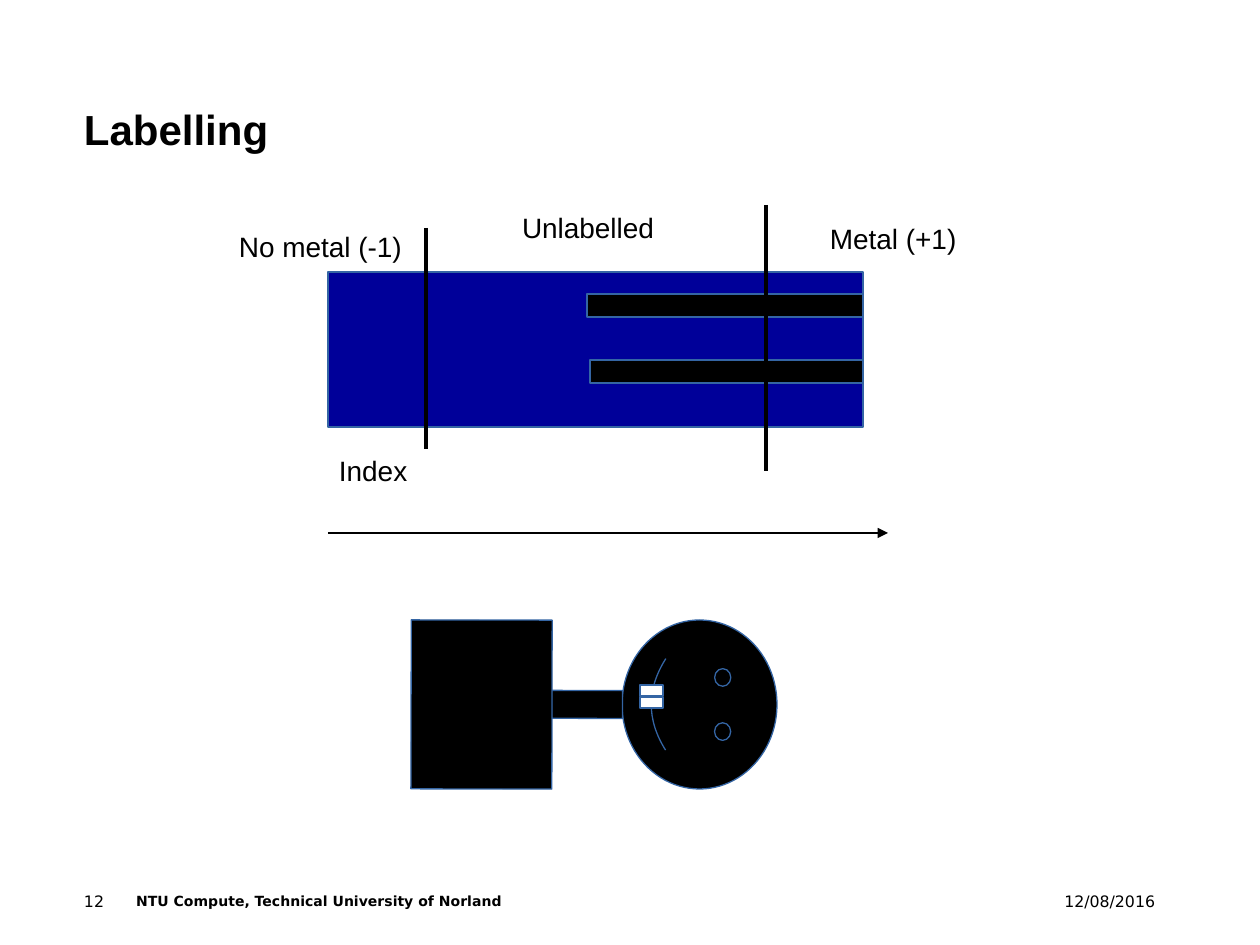
"""Builds the slide on labelling metal along the index axis."""
from dataclasses import dataclass

from lxml import etree
from pptx import Presentation
from pptx import util as u
from pptx.dml.color import RGBColor
from pptx.enum import shapes, text
from pptx.oxml import ns

EMU_PER_PX = 914400 / 126


@dataclass(frozen=True)
class Theme:
    ink: str = "000000"
    paper: str = "FFFFFF"
    block: str = "000099"
    outline: str = "3465A4"
    sans: str = "Arial"
    footer_font: str = "DejaVu Sans"
    title_size: int = 24
    label_size: int = 16
    number_size: int = 9
    footer_size: int = 8
    hairline: float = 0.75
    divider: float = 2.3


THEME = Theme()


@dataclass(frozen=True)
class Box:
    left: int
    top: int
    width: int
    height: int

    def emu(self) -> tuple[u.Emu, ...]:
        return tuple(map(px, (self.left, self.top, self.width, self.height)))


@dataclass(frozen=True)
class Label:
    wording: str
    box: Box
    size: int = THEME.label_size
    font: str = THEME.sans
    bold: bool = False
    align: text.PP_ALIGN = text.PP_ALIGN.LEFT
    anchor: text.MSO_ANCHOR = text.MSO_ANCHOR.TOP
    inset: tuple[int, int] = (11, 5)


@dataclass(frozen=True)
class Part:
    box: Box
    fill: str = THEME.ink
    kind: shapes.MSO_SHAPE = shapes.MSO_SHAPE.RECTANGLE
    rotation: float = 0


@dataclass(frozen=True)
class Rule:
    start: tuple[int, int]
    end: tuple[int, int]
    weight: float = THEME.divider
    arrow: bool = False


def px(length: int) -> u.Emu:
    """Turn pixels into EMU."""
    return u.Emu(round(length * EMU_PER_PX))


def assign(target, values: dict) -> None:
    """Set every named attribute on the target."""
    for name, value in values.items():
        setattr(target, name, value)


def write(shape, label: Label) -> None:
    """Put the label's wording and format into a text shape."""
    frame = shape.text_frame
    across, down = map(px, label.inset)
    assign(frame, {
        "text": label.wording, "word_wrap": True,
        "auto_size": text.MSO_AUTO_SIZE.NONE, "vertical_anchor": label.anchor,
        "margin_left": across, "margin_right": across,
        "margin_top": down, "margin_bottom": down,
    })
    paragraph = frame.paragraphs[0]
    paragraph.alignment = label.align
    font = paragraph.runs[0].font
    assign(font, {"name": label.font, "size": u.Pt(label.size), "bold": label.bold})
    font.color.rgb = RGBColor.from_string(THEME.ink)


def draw_title(slide, label: Label) -> None:
    """Move and fill the title placeholder."""
    title = slide.shapes.title
    assign(title, dict(zip(("left", "top", "width", "height"), label.box.emu())))
    write(title, label)


def draw_label(slide, label: Label) -> None:
    """Add a text box."""
    write(slide.shapes.add_textbox(*label.box.emu()), label)


def draw_part(slide, part: Part) -> None:
    """Add a filled and outlined preset shape."""
    shape = slide.shapes.add_shape(part.kind, *part.box.emu())
    shape.rotation = part.rotation
    shape.shadow.inherit = False
    shape.fill.solid()
    shape.fill.fore_color.rgb = RGBColor.from_string(part.fill)
    shape.line.color.rgb = RGBColor.from_string(THEME.outline)
    shape.line.width = u.Pt(THEME.hairline)


def draw_rule(slide, rule: Rule) -> None:
    """Add a straight line, with an arrowhead if asked for."""
    line = slide.shapes.add_connector(
        shapes.MSO_CONNECTOR.STRAIGHT, *map(px, rule.start + rule.end))
    line.line.color.rgb = RGBColor.from_string(THEME.ink)
    line.line.width = u.Pt(rule.weight)
    if rule.arrow:
        etree.SubElement(line.line._get_or_add_ln(), ns.qn("a:tailEnd"), type="triangle")
    etree.SubElement(line._element.spPr, ns.qn("a:effectLst"))


TITLE = Label("Labelling", Box(84, -4, 1071, 158), THEME.title_size, bold=True,
              anchor=text.MSO_ANCHOR.BOTTOM, inset=(0, 0))
FOOTER = [
    Label("12/08/2016", Box(1050, 892, 105, 42), THEME.number_size,
          THEME.footer_font, align=text.PP_ALIGN.RIGHT, inset=(0, 0)),
    Label("12", Box(84, 892, 42, 42), THEME.number_size,
          THEME.footer_font, inset=(0, 0)),
    Label("NTU Compute, Technical University of Norland", Box(136, 892, 509, 42),
          THEME.footer_size, THEME.footer_font, bold=True, inset=(0, 0)),
]
BLOCK = [
    Part(Box(328, 272, 535, 155), THEME.block),
    Part(Box(587, 294, 276, 23)),
    Part(Box(590, 360, 273, 23)),
]
RULES = [
    Rule((328, 533), (888, 533), THEME.hairline, arrow=True),
    Rule((426, 228), (426, 449)),
    Rule((766, 205), (766, 471)),
]
REGIONS = [
    Label("Index", Box(328, 449, 438, 83)),
    Label("Metal (+1)", Box(819, 217, 152, 43)),
    Label("No metal (-1)", Box(228, 224, 252, 107)),
    Label("Unlabelled", Box(511, 205, 183, 43)),
]
FIGURE = [
    Part(Box(615, 627, 169, 155), kind=shapes.MSO_SHAPE.SMILEY_FACE, rotation=90.1),
    Part(Box(573, 669, 28, 71), rotation=90.1),
    Part(Box(397, 634, 169, 141), rotation=90.1),
]
TEETH = [Part(Box(640, 685 + 12 * row, 23, 11), THEME.paper) for row in range(2)]


def main() -> None:
    """Build and save the slide."""
    deck = Presentation()
    deck.slide_width, deck.slide_height = px(1260), px(945)
    slide = deck.slides.add_slide(deck.slide_layouts[5])
    draw_title(slide, TITLE)
    for draw, items in ((draw_label, FOOTER), (draw_part, BLOCK), (draw_rule, RULES),
                        (draw_label, REGIONS), (draw_part, FIGURE + TEETH)):
        for item in items:
            draw(slide, item)
    deck.save("out.pptx")


if __name__ == "__main__":
    main()
